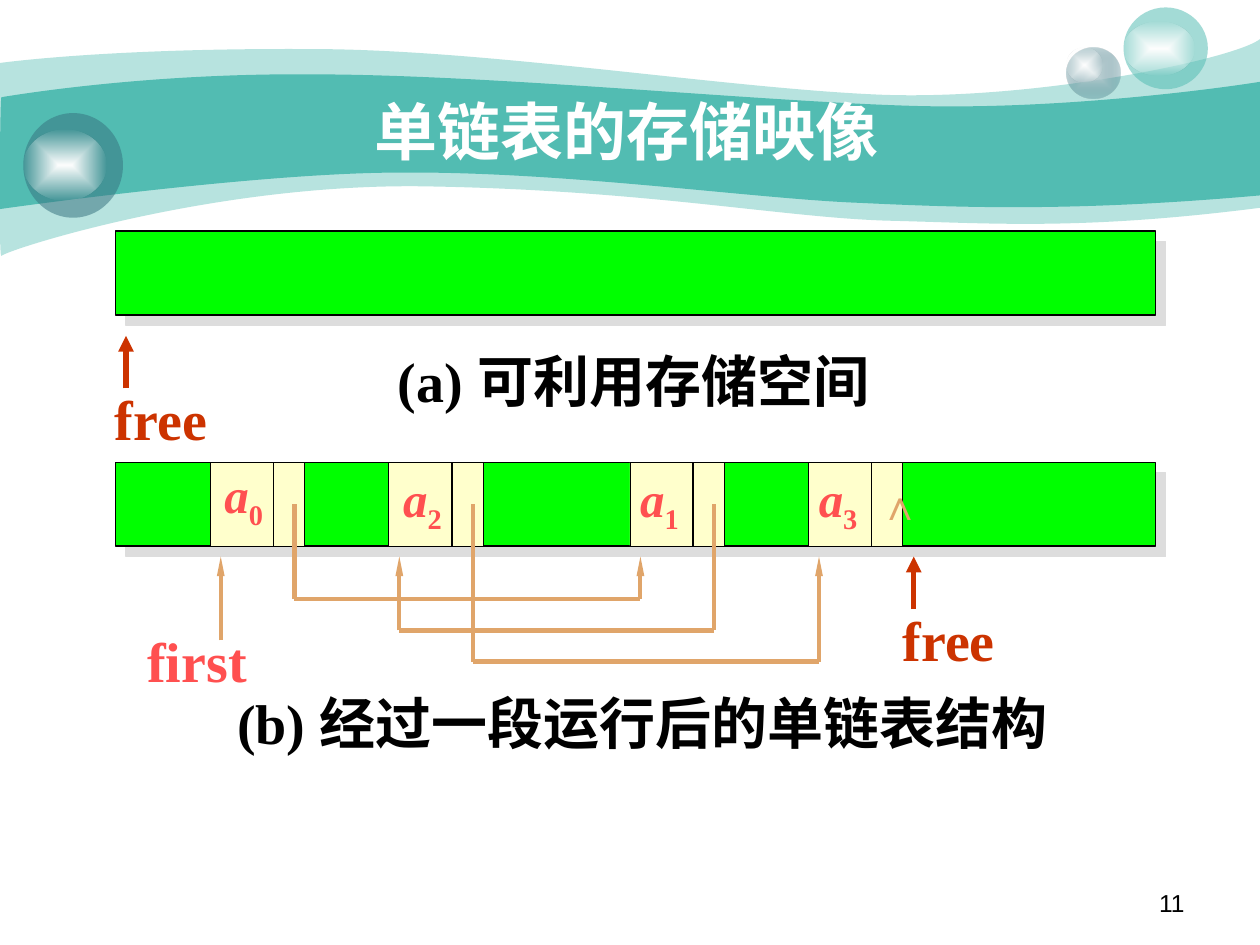
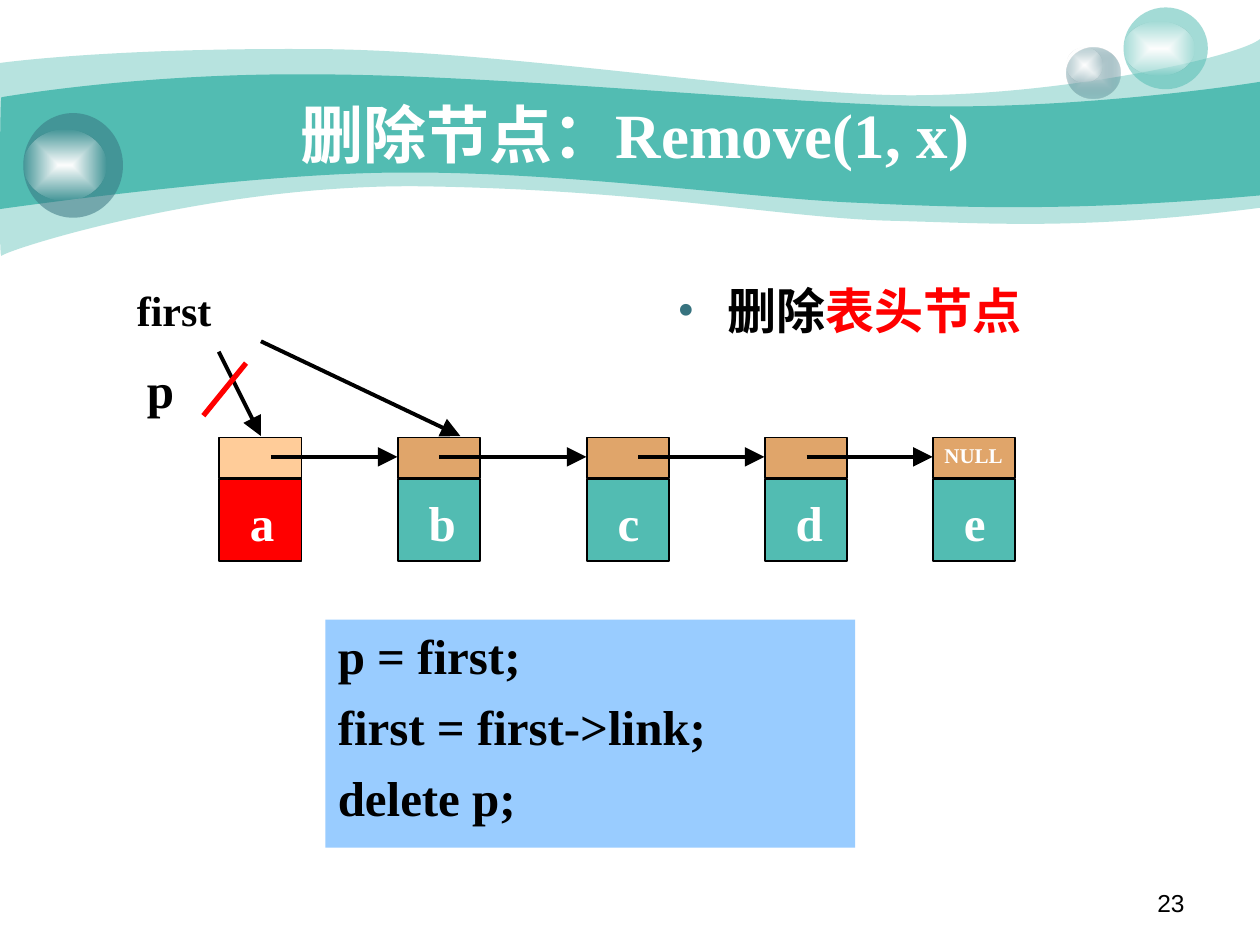
from dataclasses import dataclass

from lxml import etree
from pptx import Presentation
from pptx.dml.color import RGBColor
from pptx.enum.shapes import MSO_CONNECTOR, MSO_SHAPE
from pptx.enum.text import MSO_ANCHOR, MSO_AUTO_SIZE, PP_ALIGN
from pptx.oxml.ns import qn
from pptx.util import Cm, Pt

STRAIGHT = MSO_CONNECTOR.STRAIGHT
RECTANGLE, OVAL = MSO_SHAPE.RECTANGLE, MSO_SHAPE.OVAL
TOP, MIDDLE = MSO_ANCHOR.TOP, MSO_ANCHOR.MIDDLE
LEFT, CENTER, RIGHT = PP_ALIGN.LEFT, PP_ALIGN.CENTER, PP_ALIGN.RIGHT
TITLE_ONLY = 5
MEDIUM_HEAD, SLIM_HEAD, LARGE_HEAD = ("med", "med"), ("sm", "lg"), ("lg", "lg")


@dataclass(frozen=True)
class Theme:
    teal: str = "52BCB2"
    slate: str = "37737F"
    mist: str = "CCDBDE"
    white: str = "FFFFFF"
    black: str = "000000"
    memory: str = "00FF00"
    cell: str = "FFFFCC"
    tan: str = "E0A56A"
    peach: str = "FFCC99"
    rust: str = "CC3300"
    coral: str = "FF5050"
    red: str = "FF0000"
    code: str = "99CCFF"
    shadow: str = "DDDDDD"
    serif: str = "Times New Roman"
    sans: str = "Arial"
    chinese: str = "Noto Sans CJK SC"
    title: int = 36
    caption: int = 32
    body: int = 28
    small: int = 24
    number: int = 14
    tiny: int = 12


THEME = Theme()

OUTER_WAVE = [
    (0, 1.27),
    (0.61, 1.19, 2.72, 0.97, 6.27, 0.99),
    (9.8, 0.99, 14.6, 1.78, 17.75, 1.91),
    (20.88, 2.03, 24.89, 1.19, 25.4, 0.79),
    (25.4, 4.19),
    (21.79, 4.65, 19.99, 4.5, 17.91, 4.45),
    (15.8, 4.39, 13.08, 3.84, 8.71, 3.76),
    (4.37, 3.66, 0.1, 5.05, 0.03, 5.16),
    (-0.03, 5.28, 0, 1.9, 0, 1.27),
]
INNER_WAVE = [
    (0.03, 1.96),
    (0.05, 1.96, 2.79, 1.47, 6.3, 1.5),
    (9.8, 1.5, 15.11, 2.03, 18.24, 2.13),
    (21.36, 2.24, 24.79, 1.75, 25.4, 1.65),
    (25.4, 3.94),
    (21.67, 4.27, 19.43, 4.19, 17.32, 4.09),
    (15.21, 4.01, 11.35, 3.45, 8.05, 3.48),
    (5.16, 3.48, -0.05, 4.22, -0.03, 4.22),
    (0, 4.22, 0, 1.96, 0.03, 1.96),
]


def color(value):
    return RGBColor.from_string(value)


def add_element(parent, tag, **attributes):
    return etree.SubElement(parent, qn(tag), {key: str(value) for key, value in attributes.items()})


def format_shape(shape, fill, line=None, weight=1, opacity=None):
    shape.shadow.inherit = False
    shape.fill.solid()
    shape.fill.fore_color.rgb = color(fill)
    if opacity is not None:
        rgb = shape._element.spPr.find(qn("a:solidFill"))[0]
        add_element(rgb, "a:alpha", val=opacity * 1000)
    if line:
        shape.line.color.rgb = color(line)
        shape.line.width = Pt(weight)
    else:
        shape.line.fill.background()
    return shape


def add_box(slide, box, fill, line=None, weight=1, kind=RECTANGLE, opacity=None):
    shape = slide.shapes.add_shape(kind, *map(Cm, box))
    return format_shape(shape, fill, line, weight, opacity)


def set_center_gradient(shape, inner, outer, outer_opacity):
    shape.fill.background()
    properties = shape._element.spPr
    gradient = etree.Element(qn("a:gradFill"), rotWithShape="1")
    stops = add_element(gradient, "a:gsLst")
    for position, value, opacity in ((0, inner, 100), (100, outer, outer_opacity)):
        stop = add_element(stops, "a:gs", pos=position * 1000)
        rgb = add_element(stop, "a:srgbClr", val=value)
        add_element(rgb, "a:alpha", val=opacity * 1000)
    focus = add_element(gradient, "a:path", path="rect")
    add_element(focus, "a:fillToRect", l=50000, t=50000, r=50000, b=50000)
    properties.replace(properties.find(qn("a:noFill")), gradient)


def add_line(slide, start, end, stroke=THEME.black, weight=2.25, head=None):
    connector = slide.shapes.add_connector(STRAIGHT, *map(Cm, (*start, *end)))
    connector.line.color.rgb = color(stroke)
    connector.line.width = Pt(weight)
    if head:
        width, length = head
        add_element(connector.line._get_or_add_ln(), "a:tailEnd", type="triangle", w=width, len=length)
    add_element(connector._element.spPr, "a:effectLst")


def style_paragraph(paragraph, size, ink, align=LEFT, face=THEME.serif, bold=True):
    paragraph.alignment = align
    font = paragraph.font
    font.size, font.name, font.bold = Pt(size), face, bold
    font.color.rgb = color(ink)
    add_element(font._element, "a:ea", typeface=THEME.chinese)


def add_text(slide, box, text, size, ink, align=LEFT, face=THEME.serif, bold=True, wrap=True):
    frame = slide.shapes.add_textbox(*map(Cm, box)).text_frame
    frame.word_wrap = wrap
    paragraph = frame.paragraphs[0]
    paragraph.text = text
    style_paragraph(paragraph, size, ink, align, face, bold)
    return paragraph


def add_wave(slide, segments, opacity=None):
    points = [(Cm(x), Cm(y)) for segment in segments for x, y in zip(segment[::2], segment[1::2])]
    builder = slide.shapes.build_freeform(*points[0])
    builder.add_line_segments(points[1:], close=True)
    wave = builder.convert_to_shape()
    lines = iter(list(wave._element.iter(qn("a:lnTo"))))
    for segment in segments[1:]:
        first = next(lines)
        if len(segment) == 6:
            curve = etree.Element(qn("a:cubicBezTo"))
            first.addprevious(curve)
            for line in (first, next(lines), next(lines)):
                curve.append(line[0])
                line.getparent().remove(line)
    return format_shape(wave, THEME.teal, opacity=opacity)


def add_bubble(slide, box, shine_box, fill, opacity):
    bubble = add_box(slide, box, fill, kind=OVAL, opacity=opacity)
    shine = add_box(slide, shine_box, THEME.white, kind=OVAL)
    set_center_gradient(shine, THEME.white, THEME.white, 0)
    return [bubble, shine]


def move_backdrop_to_layout(slide):
    parts = [add_wave(slide, OUTER_WAVE, 41), add_wave(slide, INNER_WAVE)]
    small = add_bubble(slide, (21.51, 0.97, 1.07, 1.02), (21.51, 0.97, 0.71, 0.69), THEME.slate, 100)
    set_center_gradient(small[0], THEME.mist, THEME.slate, 31)
    parts += small
    parts += add_bubble(slide, (22.65, 0.15, 1.7, 1.65), (22.65, 0.43, 1.42, 1.09), THEME.teal, 53)
    parts += add_bubble(slide, (0.47, 2.28, 2.01, 2.11), (0.47, 2.62, 1.68, 1.42), THEME.slate, 53)
    for number, part in enumerate(parts, 100):
        part._element.nvSpPr.cNvPr.set("id", str(number))
        slide.slide_layout.shapes._spTree.append(part._element)


def add_titled_slide(presentation, title, title_box, number):
    slide = presentation.slides.add_slide(presentation.slide_layouts[TITLE_ONLY])
    shape = slide.shapes.title
    shape.left, shape.top, shape.width, shape.height = map(Cm, title_box)
    frame = shape.text_frame
    frame.text = title
    frame.auto_size = MSO_AUTO_SIZE.NONE
    frame.vertical_anchor = MIDDLE
    style_paragraph(frame.paragraphs[0], THEME.title, THEME.white, CENTER)
    add_text(slide, (18.21, 17.78, 5.92, 0.89), number, THEME.number, THEME.black, RIGHT, THEME.sans, False)
    return slide


def add_memory(slide, box):
    strip = add_box(slide, box, THEME.memory, THEME.black, 0.75)
    effects = strip._element.spPr.find(qn("a:effectLst"))
    shadow = add_element(effects, "a:outerShdw", dist=Pt(8.5), dir=45 * 60000, algn="ctr", rotWithShape=0)
    add_element(shadow, "a:srgbClr", val=THEME.shadow)


def add_pointer(slide, x, start, end, text, label_box, ink):
    dx, dy, width, height = label_box
    add_text(slide, (x + dx, start + dy, width, height), text, THEME.caption, ink, CENTER, wrap=False)


def add_free_pointer(slide, x, start, end):
    add_line(slide, (x, start), (x, end), THEME.rust, 3, MEDIUM_HEAD)
    add_text(slide, (x - 0.49, start - 0.2, 2.39, 1.63), "free", THEME.caption, THEME.rust, CENTER, wrap=False)


def add_first_pointer(slide, x, start, end):
    add_line(slide, (x, start), (x, end), THEME.tan, 2.25, SLIM_HEAD)
    add_text(slide, (x - 1.73, start - 0.41, 2.51, 1.63), "first", THEME.caption, THEME.coral, CENTER, wrap=False)


def add_memory_node(slide, box, subscript, label_shift):
    left, top, width, height = box
    divider = left + 1.27
    add_box(slide, box, THEME.cell, THEME.black, 0.5)
    add_line(slide, (divider, top), (divider, top + height), weight=0.75)
    dx, dy = label_shift
    label = add_text(slide, (left + dx, top + dy, 1.35, 1.6), "", THEME.body, THEME.coral, CENTER)
    name, index = label.add_run(), label.add_run()
    name.text, index.text = "a", subscript
    name.font.italic = True
    index.font._element.set("baseline", "-25000")


def add_used_memory(slide, box):
    left, top, width, height = box
    add_memory(slide, box)
    nodes = {"0": (1.91, 0, -0.08), "2": (5.51, 0, 0), "1": (10.37, -0.08, 0), "3": (13.97, -0.08, 0)}
    starts = {index: left + offset for index, (offset, _, _) in nodes.items()}
    for index, (_, dx, dy) in nodes.items():
        add_memory_node(slide, (starts[index], top, 1.9, height), index, (dx, dy))
    add_text(slide, (starts["3"] + 1.18, top + 0.21, 0.79, 1.27), "∧", THEME.small, THEME.tan,
             CENTER, THEME.sans, wrap=False)
    tip = top + 1.9
    add_first_pointer(slide, starts["0"] + 0.21, top + 3.59, tip)
    add_free_pointer(slide, left + 16.09, top + 2.96, tip)
    links = [("0", "1", 2.75, 3, 2.25), ("1", "2", 3.39, 2.25, 3), ("2", "3", 4.02, 2.25, 3)]
    for source, target, depth, drop_weight, across_weight in links:
        source_x, target_x = starts[source] + 1.69, starts[target] + 0.21
        bend = top + depth
        add_line(slide, (source_x, top + height / 2), (source_x, bend), THEME.tan, drop_weight)
        add_line(slide, (source_x, bend), (target_x, bend), THEME.tan, across_weight)
        add_line(slide, (target_x, bend), (target_x, tip), THEME.tan, 2.25, SLIM_HEAD)


def build_storage_slide(presentation):
    slide = add_titled_slide(presentation, "单链表的存储映像", (7.16, 1.7, 10.92, 1.85), "11")
    left, width, height = 2.33, 20.96, 1.69
    add_memory(slide, (left, 4.66, width, height))
    add_free_pointer(slide, left + 0.21, 7.83, 6.77)
    add_used_memory(slide, (left, 9.32, width, height))
    captions = [((7.29, 6.86, 10.97, 1.63), "(a) 可利用存储空间"),
                ((3.92, 13.75, 18.08, 1.63), "(b) 经过一段运行后的单链表结构")]
    for box, text in captions:
        add_text(slide, box, text, THEME.caption, THEME.black, CENTER)
    return slide


def add_linked_list(slide, left, top):
    size, data_top, link_y = 1.66, 0.83, top + 0.39
    nodes = [("a", 0, 1.04), ("b", 3.6, 0.83), ("c", 7.41, 1.04), ("d", 11, 0.84), ("e", 14.39, 0)]
    for name, offset, _ in nodes:
        x = left + offset
        removed = name == "a"
        add_box(slide, (x, top + data_top, size, size), THEME.red if removed else THEME.teal, THEME.black)
        add_box(slide, (x, top, size, 0.82), THEME.peach if removed else THEME.tan, THEME.black)
        add_text(slide, (x + 0.37, top + 0.99, 1.05, 1.45), name, THEME.body, THEME.white)
    for (_, offset, link), (_, following, _) in zip(nodes, nodes[1:]):
        add_line(slide, (left + offset + link, link_y), (left + following - 0.01, link_y), head=LARGE_HEAD)
    add_text(slide, (left + nodes[-1][1] - 0.02, top - 0.02, 1.7, 0.76), "NULL", THEME.tiny, THEME.white)


def add_head_pointers(slide, left, top):
    add_text(slide, (left, top, 4.65, 1.27), "first", THEME.small, THEME.black)
    add_text(slide, (left + 0.2, top + 1.51, 1.4, 1.45), "p", THEME.body, THEME.black)
    add_line(slide, (left + 1.9, top + 1.48), (left + 2.75, top + 3.18), head=LARGE_HEAD)
    add_line(slide, (left + 2.75, top + 1.27), (left + 6.77, top + 3.18), head=LARGE_HEAD)
    add_line(slide, (left + 2.45, top + 1.71), (left + 1.59, top + 2.77), THEME.red, 3)


def add_case_note(slide, box):
    paragraph = add_text(slide, box, "", THEME.body, THEME.black, CENTER)
    properties = paragraph._p.get_or_add_pPr()
    properties.set("marL", str(Cm(1.02)))
    properties.set("indent", str(-Cm(1.02)))
    bullet_color = etree.Element(qn("a:buClr"))
    add_element(bullet_color, "a:srgbClr", val=THEME.slate)
    properties.insert(0, bullet_color)
    properties.insert(1, etree.Element(qn("a:buFont"), typeface=THEME.serif))
    properties.insert(2, etree.Element(qn("a:buChar"), char="•"))
    action, target = paragraph.add_run(), paragraph.add_run()
    action.text, target.text = "删除", "表头节点"
    target.font.color.rgb = color(THEME.red)


def add_code(slide, box, lines):
    frame = add_box(slide, box, THEME.code).text_frame
    frame.word_wrap = True
    frame.vertical_anchor = TOP
    frame.text = "\n".join(lines)
    for index, paragraph in enumerate(frame.paragraphs):
        if index:
            paragraph.space_before = Pt(7)
        style_paragraph(paragraph, THEME.body, THEME.black)


def build_removal_slide(presentation):
    slide = add_titled_slide(presentation, "删除节点：Remove(1, x)", (2.54, 1.9, 20.52, 1.57), "23")
    add_linked_list(slide, 4.42, 8.82)
    add_head_pointers(slide, 2.51, 5.61)
    add_code(slide, (6.56, 12.49, 10.68, 4.6), ["p = first;", "first = first->link;", "delete p;"])
    add_case_note(slide, (12.72, 5.54, 8.81, 1.45))


def main():
    presentation = Presentation()
    presentation.slide_width, presentation.slide_height = Cm(25.4), Cm(19.05)
    move_backdrop_to_layout(build_storage_slide(presentation))
    build_removal_slide(presentation)
    presentation.save("out.pptx")


if __name__ == "__main__":
    main()
